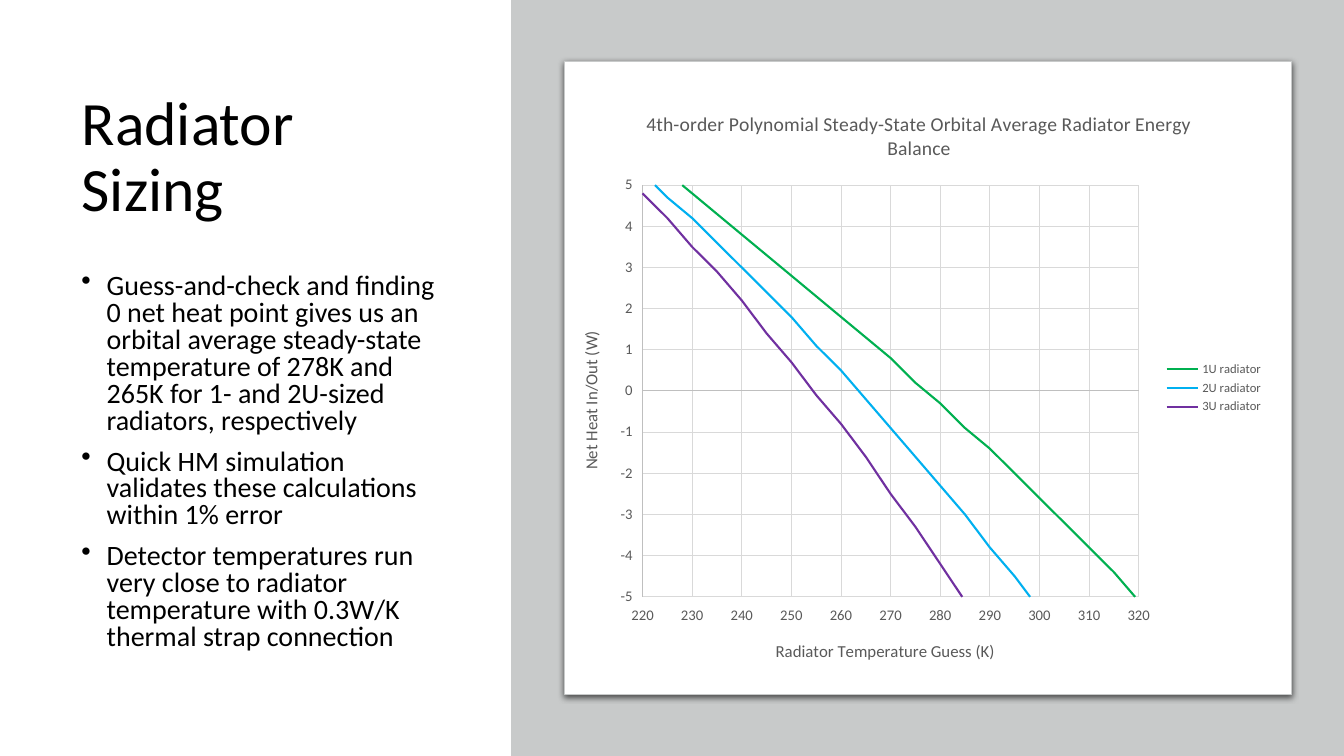
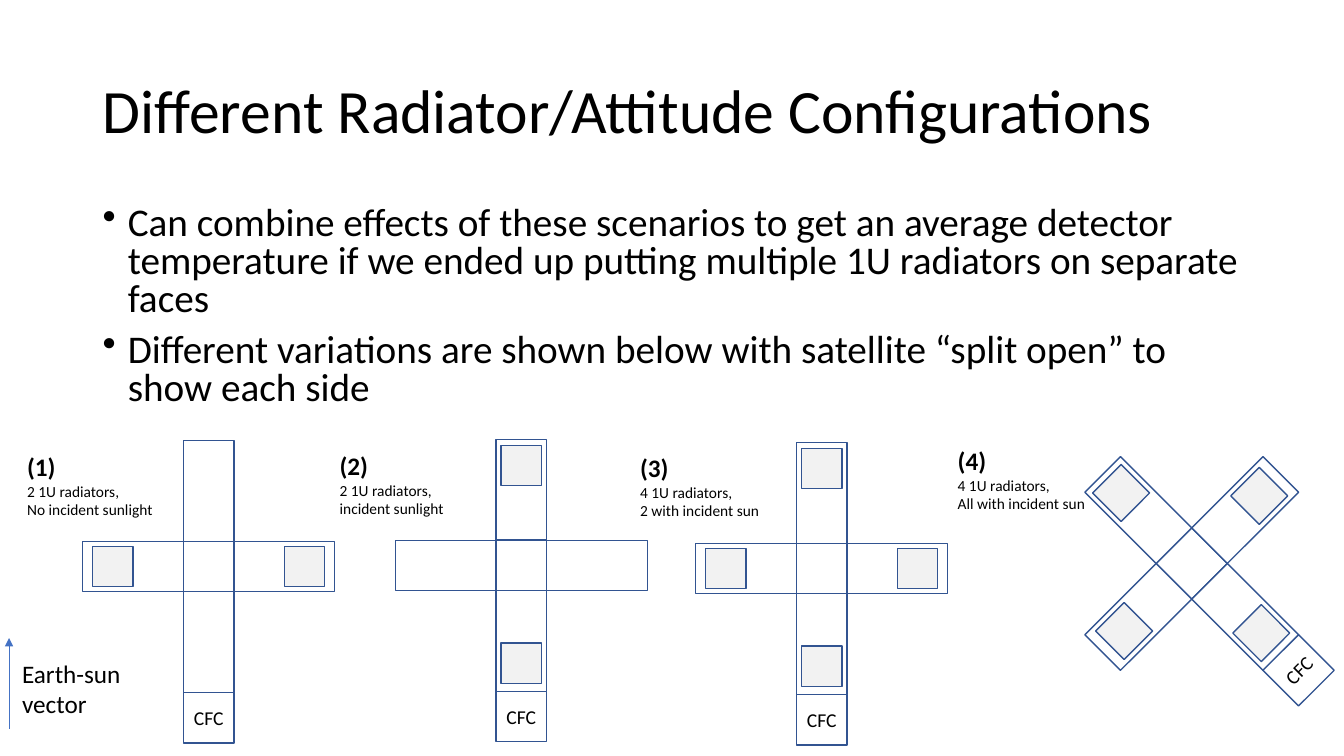
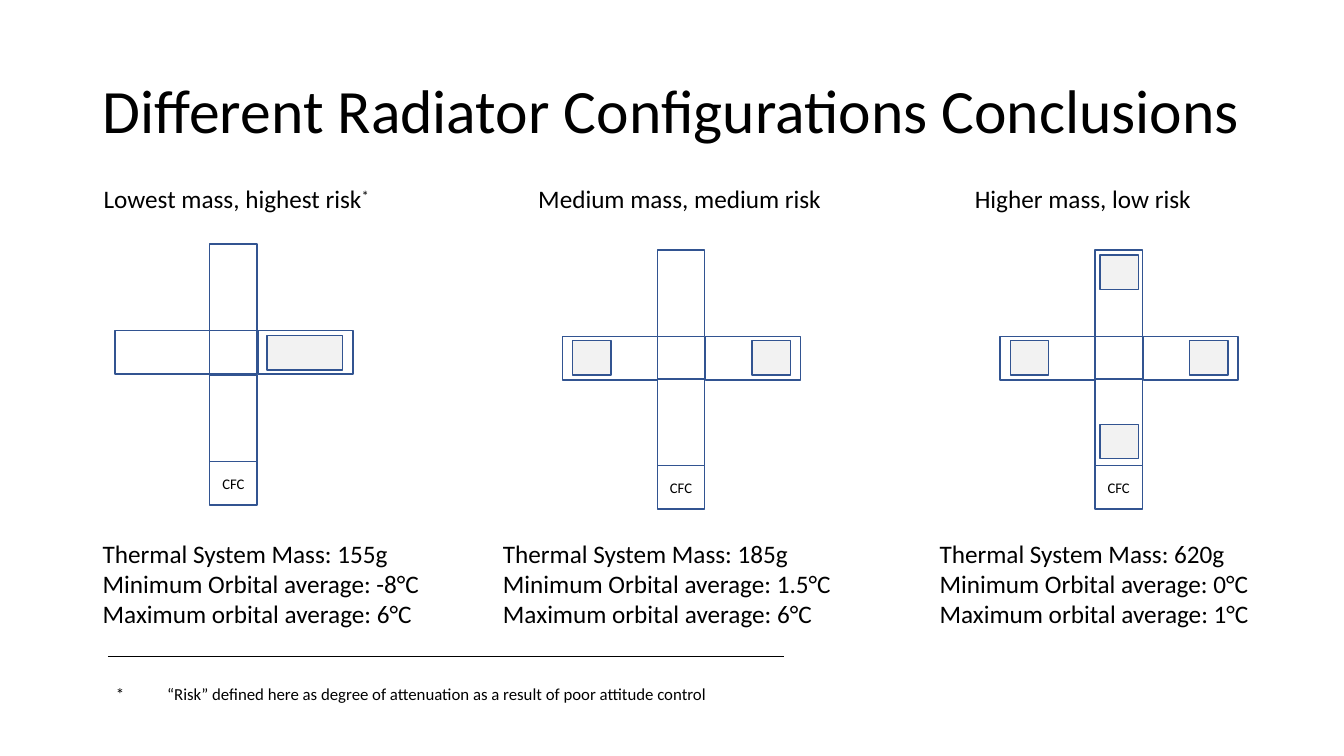
from math import cos, radians, sin

from lxml.etree import SubElement
from pptx import Presentation
from pptx.chart.data import XyChartData
from pptx.dml.color import RGBColor
from pptx.enum.chart import XL_CHART_TYPE as ChartType
from pptx.enum.chart import XL_LEGEND_POSITION as LegendPosition
from pptx.enum.chart import XL_TICK_LABEL_POSITION as LabelPosition
from pptx.enum.chart import XL_TICK_MARK as TickMark
from pptx.enum.shapes import MSO_CONNECTOR as Connector
from pptx.enum.shapes import MSO_SHAPE as Preset
from pptx.enum.text import MSO_ANCHOR as Anchor
from pptx.enum.text import MSO_AUTO_SIZE as AutoSize
from pptx.enum.text import PP_ALIGN as Align
from pptx.oxml.ns import qn
from pptx.util import Pt

EMU_PER_PX = 9144
FONT = "Calibri"
TITLE_ONLY = 5
TITLE_BOX = (92, 40, 1150, 145)
COLORS = {
    "text": "000000",
    "white": "FFFFFF",
    "panel": "C8CACA",
    "outline": "325491",
    "radiator": "F2F2F2",
    "arrow": "4472C4",
    "chart_text": "595959",
    "axis": "BFBFBF",
    "grid": "D9D9D9",
    "1U radiator": "00B050",
    "2U radiator": "00B0F0",
    "3U radiator": "7030A0",
}

LEFT, RIGHT = (-1.9, 0, 0.8), (1.9, 0, 0.8)
UP, DOWN = (0, -1.98, 0.8), (0, 1.94, 0.8)
WIDE_RIGHT = (1.5, 0, 1.6)

TEMPERATURES = range(200, 361, 5)
NET_HEAT = {
    "1U radiator": [
        7.5, 7.1, 6.6, 6.2, 5.7, 5.3, 4.8, 4.3, 3.8, 3.3, 2.8,
        2.3, 1.8, 1.3, 0.8, 0.2, -0.3, -0.9, -1.4, -2, -2.6, -3.2,
        -3.8, -4.4, -5.1, -5.7, -6.4, -7, -7.7, -8.4, -9.1, -9.8, -10.6],
    "2U radiator": [
        7.4, 6.9, 6.3, 5.8, 5.3, 4.7, 4.2, 3.6, 3, 2.4, 1.8,
        1.1, 0.5, -0.2, -0.9, -1.6, -2.3, -3, -3.8, -4.5, -5.3, -6.1,
        -7, -7.8, -8.7, -9.6, -10.6, -11.5, -12.5, -13.5, -14.6, -15.7, -16.8],
    "3U radiator": [
        7.2, 6.6, 6.1, 5.5, 4.8, 4.2, 3.5, 2.9, 2.2, 1.4, 0.7,
        -0.1, -0.8, -1.6, -2.5, -3.3, -4.2, -5.1, -6.1, -7.1, -8.1, -9.1,
        -10.2, -11.3, -12.4, -13.6, -14.8, -16.1, -17.4, -18.7, -20.1, -21.5, -23],
}


def px(*lengths):
    return [round(length) * EMU_PER_PX for length in lengths]


def color(name):
    return RGBColor.from_string(COLORS[name])


def style_font(font, size, name="text", bold=False):
    font.name = FONT
    font.size = Pt(size)
    font.bold = bold
    font.color.rgb = color(name)


def style_line(line, name, width):
    line.color.rgb = color(name)
    line.width = Pt(width)


def add_titled_slide(presentation, text, box=TITLE_BOX):
    slide = presentation.slides.add_slide(presentation.slide_layouts[TITLE_ONLY])
    title = slide.shapes.title
    title.left, title.top, title.width, title.height = px(*box)
    frame = title.text_frame
    frame.text = text
    frame.auto_size = AutoSize.NONE
    frame.vertical_anchor = Anchor.MIDDLE
    paragraph = frame.paragraphs[0]
    paragraph.alignment = Align.LEFT
    paragraph.line_spacing = 0.9
    style_font(paragraph.font, 44)
    return slide


def add_text(slide, box, lines, size, first_size=None):
    frame = slide.shapes.add_textbox(*px(*box)).text_frame
    frame.word_wrap = True
    for index, line in enumerate(lines):
        paragraph = frame.add_paragraph() if index else frame.paragraphs[0]
        paragraph.text = line
        is_heading = first_size is not None and index == 0
        style_font(paragraph.font, first_size if is_heading else size, bold=is_heading)
    return frame


def set_hanging_indent(paragraph, indent):
    properties = paragraph._p.get_or_add_pPr()
    width, = px(indent)
    properties.set("marL", str(width))
    properties.set("indent", str(-width))
    return properties


def add_bullets(slide, box, lines, size):
    for paragraph in add_text(slide, box, lines, size).paragraphs:
        properties = set_hanging_indent(paragraph, 25)
        bullet = SubElement(properties, qn("a:buChar"), char="•")
        properties.find(qn("a:defRPr")).addprevious(bullet)
        paragraph.line_spacing = 0.8
        paragraph.space_before = Pt(10)


def add_box(shapes, box, fill, outline=None, width=1):
    shape = shapes.add_shape(Preset.RECTANGLE, *px(*box))
    shape.shadow.inherit = False
    shape.fill.solid()
    shape.fill.fore_color.rgb = color(fill)
    if outline:
        style_line(shape.line, outline, width)
    else:
        shape.line.fill.background()
    return shape


def add_card(slide, box):
    card = add_box(slide.shapes, box, "white", "panel", 0.75)
    effects = card._element.spPr.find(qn("a:effectLst"))
    shadow = SubElement(effects, qn("a:outerShdw"), blurRad=str(Pt(4.5)),
                        dist=str(Pt(1.5)), dir="5400000", rotWithShape="0")
    black = SubElement(shadow, qn("a:srgbClr"), val=COLORS["text"])
    SubElement(black, qn("a:alpha"), val="63000")


def add_line(slide, start, end, name, arrow=False):
    line = slide.shapes.add_connector(Connector.STRAIGHT, *px(*start, *end))
    style_line(line.line, name, 0.5)
    if arrow:
        SubElement(line.line._get_or_add_ln(), qn("a:tailEnd"), type="triangle")
    SubElement(line._element.spPr, qn("a:effectLst"))


def add_satellite(slide, center, radiators, cell=(50, 50), label_size=14, angle=0):
    group = slide.shapes.add_group_shape()
    turn = radians(angle)

    def add_part(across, down, width, height, fill="white"):
        dx, dy = across * cell[0], down * cell[1]
        x = center[0] + dx * cos(turn) - dy * sin(turn)
        y = center[1] + dx * sin(turn) + dy * cos(turn)
        width, height = width * cell[0], height * cell[1]
        part = add_box(group.shapes, (x - width / 2, y - height / 2, width, height),
                       fill, "outline")
        part.rotation = angle
        return part

    add_part(0, 0, 1, 1)
    for side in (-1.5, 1.5):
        add_part(side, 0, 2, 1)
        add_part(0, side, 1, 2)
    frame = add_part(0, 3, 1, 1).text_frame
    frame.word_wrap = False
    frame.margin_left = frame.margin_right = 0
    frame.vertical_anchor = Anchor.MIDDLE
    frame.text = "CFC"
    frame.paragraphs[0].alignment = Align.CENTER
    style_font(frame.paragraphs[0].font, label_size)
    for across, down, width in radiators:
        add_part(across, down, width, 0.8, "radiator")


def set_chart_title(titled, text, size):
    titled.text_frame.text = text
    style_font(titled.text_frame.paragraphs[0].font, size, "chart_text")


def style_axis(axis, title, low, high, step):
    axis.minimum_scale, axis.maximum_scale, axis.major_unit = low, high, step
    axis.major_tick_mark = axis.minor_tick_mark = TickMark.NONE
    axis.tick_label_position = LabelPosition.LOW
    axis.has_major_gridlines = True
    style_line(axis.major_gridlines.format.line, "grid", 0.75)
    style_line(axis.format.line, "axis", 0.75)
    style_font(axis.tick_labels.font, 10.5, "chart_text")
    set_chart_title(axis.axis_title, title, 12)


def set_plot_layout(chart, x, y, width, height):
    plot_area = chart._chartSpace.chart.plotArea
    layout = plot_area.find(qn("c:layout"))
    if layout is None:
        layout = SubElement(plot_area, qn("c:layout"))
        plot_area.insert(0, layout)
    manual = SubElement(layout, qn("c:manualLayout"))
    settings = {"layoutTarget": "inner", "xMode": "edge", "yMode": "edge",
                "x": x, "y": y, "w": width, "h": height}
    for tag, value in settings.items():
        SubElement(manual, qn("c:" + tag), val=str(value))


def add_heat_chart(slide, box):
    data = XyChartData()
    for name, values in NET_HEAT.items():
        series = data.add_series(name)
        for temperature, heat in zip(TEMPERATURES, values):
            series.add_data_point(temperature, heat)
    chart = slide.shapes.add_chart(
        ChartType.XY_SCATTER_SMOOTH_NO_MARKERS, *px(*box), data).chart
    style_font(chart.font, 10)
    chart.has_title = True
    set_chart_title(
        chart.chart_title,
        "4th-order Polynomial Steady-State Orbital Average Radiator Energy Balance", 14)
    style_axis(chart.category_axis, "Radiator Temperature Guess (K)", 220, 320, 10)
    style_axis(chart.value_axis, "Net Heat In/Out (W)", -5, 5, 1)
    chart.has_legend = True
    chart.legend.position = LegendPosition.RIGHT
    chart.legend.include_in_layout = False
    style_font(chart.legend.font, 9, "chart_text")
    plot = chart.plots[0]
    plot.vary_by_categories = False
    for series in plot.series:
        series.smooth = True
        style_line(series.format.line, series.name, 1.5)
    set_plot_layout(chart, 0.11, 0.16, 0.7, 0.69)


def build_sizing_slide(presentation):
    slide = add_titled_slide(presentation, "Radiator Sizing", (71, 69, 370, 177))
    add_box(slide.shapes, (507, 0, 826, 750), "panel")
    add_card(slide, (560, 61, 721, 628))
    add_bullets(slide, (71, 267, 383, 414), [
        "Guess-and-check and finding 0 net heat point gives us an orbital average "
        "steady-state temperature of 278K and 265K for 1- and 2U-sized radiators, "
        "respectively",
        "Quick HM simulation validates these calculations within 1% error",
        "Detector temperatures run very close to radiator temperature with 0.3W/K "
        "thermal strap connection",
    ], 20)
    add_heat_chart(slide, (560, 89, 703, 592))


def build_attitude_slide(presentation):
    slide = add_titled_slide(presentation, "Different Radiator/Attitude Configurations")
    add_bullets(slide, (92, 200, 1150, 218), [
        "Can combine effects of these scenarios to get an average detector temperature "
        "if we ended up putting multiple 1U radiators on separate faces",
        "Different variations are shown below with satellite “split open” to show "
        "each side",
    ], 28)
    configurations = [
        ((207, 562), (17, 443), (LEFT, RIGHT), 0,
         "2 1U radiators,", "No incident sunlight"),
        ((517, 561), (327, 442), (UP, DOWN), 0,
         "2 1U radiators,", "incident sunlight"),
        ((815, 564), (625, 444), (LEFT, RIGHT, UP, DOWN), 0,
         "4 1U radiators,", "2 with incident sun"),
        ((1182, 559), (940, 437), (LEFT, RIGHT, UP, DOWN), -45,
         "4 1U radiators,", "All with incident sun"),
    ]
    for number, configuration in enumerate(configurations, 1):
        center, label_corner, radiators, angle, *lines = configuration
        add_satellite(slide, center, radiators, angle=angle)
        add_text(slide, (*label_corner, 165, 77), [f"({number})", *lines], 11, 18)
    add_line(slide, (9, 723), (9, 633), "arrow", arrow=True)
    add_text(slide, (12, 648, 148, 71), ["Earth-sun vector"], 18)


def build_conclusions_slide(presentation):
    slide = add_titled_slide(presentation, "Different Radiator Configurations Conclusions")
    options = [
        ("Lowest mass, highest risk", 93, (232, 350), (WIDE_RIGHT,), 92, "155g", "-8", "6"),
        ("Medium mass, medium risk", 524, (676, 355), (LEFT, RIGHT), 489, "185g", "1.5", "6"),
        ("Higher mass, low risk", 957, (1110, 355), (LEFT, RIGHT, UP, DOWN), 922,
         "620g", "0", "1"),
    ]
    headings = []
    for heading, heading_left, center, radiators, left, mass, low, high in options:
        headings.append(add_text(slide, (heading_left, 177, 304, 40), [heading], 18))
        add_satellite(slide, center, radiators, (47, 43), 10.5)
        add_text(slide, (left, 529, 374, 101), [
            f"Thermal System Mass: {mass}",
            f"Minimum Orbital average: {low}°C",
            f"Maximum orbital average: {high}°C",
        ], 18)
    mark = headings[0].paragraphs[0].add_run()
    mark.text = "*"
    mark._r.get_or_add_rPr().set("baseline", "30000")
    add_line(slide, (107, 651), (778, 651), "text")
    footnote = add_text(slide, (105, 673, 1075, 30), [
        "*\t“Risk” defined here as degree of attenuation as a result of poor "
        "attitude control"], 12)
    set_hanging_indent(footnote.paragraphs[0], 51)


def main():
    presentation = Presentation()
    presentation.slide_width, presentation.slide_height = px(1333, 750)
    build_sizing_slide(presentation)
    build_attitude_slide(presentation)
    build_conclusions_slide(presentation)
    presentation.save("out.pptx")


if __name__ == "__main__":
    main()
